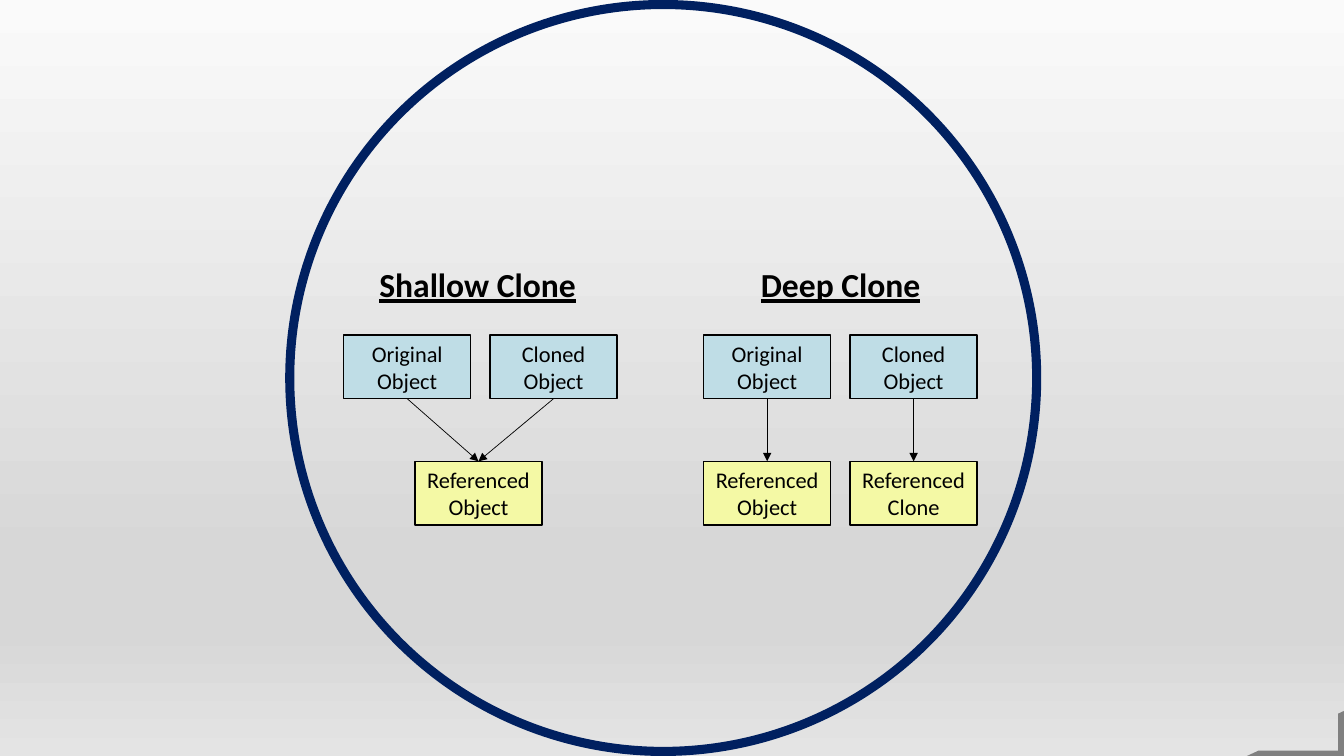
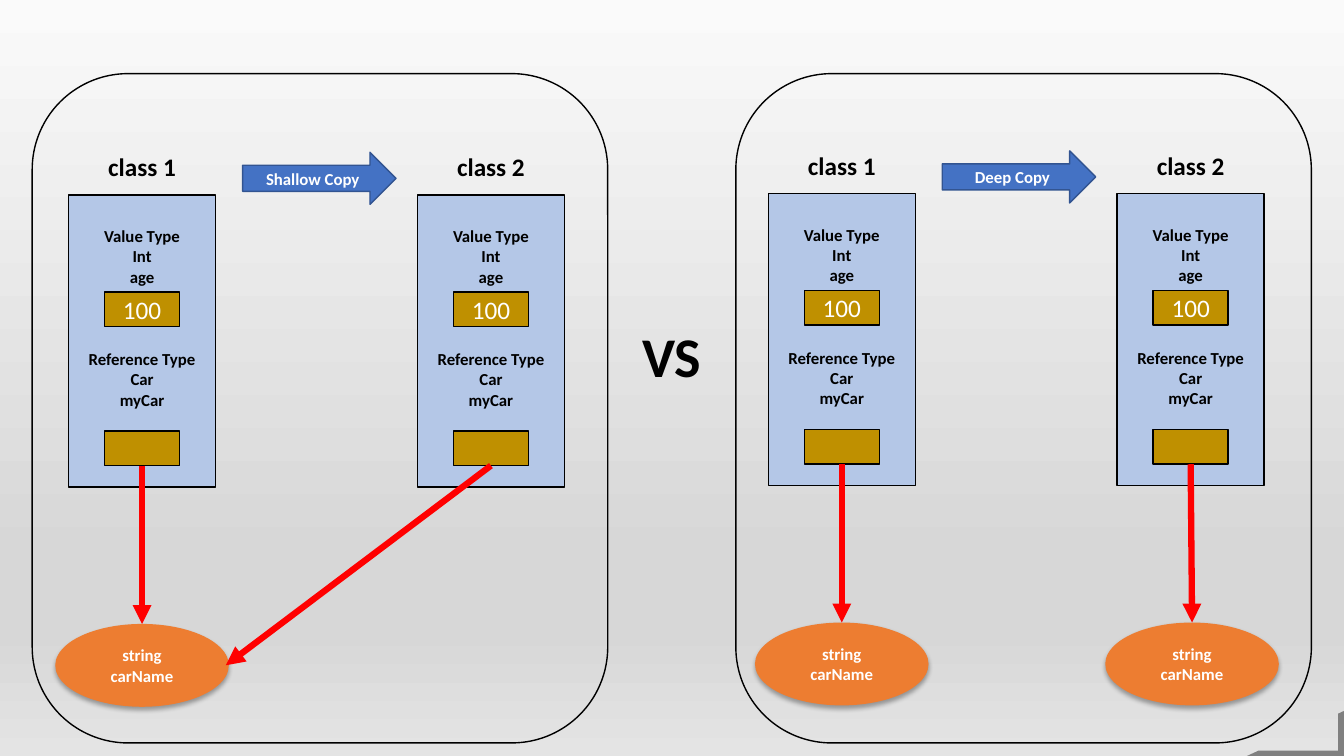
import pptx
import pptx.util
import pptx.dml.color
import pptx.enum.shapes
import pptx.enum.text
import pptx.oxml
import pptx.oxml.ns

Pt = pptx.util.Pt
MSO = pptx.enum.shapes.MSO_SHAPE
rgb = pptx.dml.color.RGBColor.from_string
qn = pptx.oxml.ns.qn
NS = pptx.oxml.ns.nsdecls("a")

FONT = "Calibri"
BLACK, WHITE, RED = "000000", "FFFFFF", "FF0000"
NAVY, GREY = "002060", "808080"
LIGHT_BLUE, YELLOW = "BFDDE6", "F4F9A5"
CLASS_BLUE, GOLD, ORANGE = "B4C7E7", "BF9000", "ED7D31"
ARROW_BLUE, ARROW_EDGE = "4472C4", "325491"


def add_box(s, kind, x, y, w, h, text="", fill=None, line=None, size=12, color=BLACK, bold=False, underline=False):
    if kind is None:
        sp = s.shapes.add_textbox(Pt(x), Pt(y), Pt(w), Pt(h))
    else:
        sp = s.shapes.add_shape(kind, Pt(x), Pt(y), Pt(w), Pt(h))
        sp.shadow.inherit = False
    if fill:
        sp.fill.solid()
        sp.fill.fore_color.rgb = rgb(fill)
    else:
        sp.fill.background()
    if line:
        sp.line.color.rgb = rgb(line)
        sp.line.width = Pt(1)
    else:
        sp.line.fill.background()
    if text:
        tf = sp.text_frame
        tf.text = text
        tf.word_wrap = True
        tf.margin_left = tf.margin_right = tf.margin_top = tf.margin_bottom = 0
        tf.vertical_anchor = pptx.enum.text.MSO_ANCHOR.MIDDLE
        for p in tf.paragraphs:
            p.alignment = pptx.enum.text.PP_ALIGN.CENTER
            for r in p.runs:
                r.font.name = FONT
                r.font.size = Pt(size)
                r.font.bold = bold
                r.font.underline = underline
                r.font.color.rgb = rgb(color)
    return sp


def add_arrow(s, x1, y1, x2, y2, color, width):
    c = s.shapes.add_connector(pptx.enum.shapes.MSO_CONNECTOR.STRAIGHT, Pt(x1), Pt(y1), Pt(x2), Pt(y2))
    c.line.color.rgb = rgb(color)
    c.line.width = Pt(width)
    pr = c.element.spPr
    pr.find(qn("a:ln")).append(pptx.oxml.parse_xml(f'<a:tailEnd {NS} type="triangle"/>'))
    pr.append(pptx.oxml.parse_xml(f"<a:effectLst {NS}/>"))


prs = pptx.Presentation()
prs.slide_width, prs.slide_height = Pt(960), Pt(540)
layout = prs.slide_layouts[6]

bg = layout.background.fill
bg.gradient()
bg.gradient_angle = 270
stops = layout.element.find(".//" + qn("a:gsLst"))
for gs in list(stops):
    stops.remove(gs)
for pos, color in [(0, "FAFAFA"), (74, "D7D7D7"), (83, "D7D7D7"), (100, "E4E4E4")]:
    stops.append(pptx.oxml.parse_xml(f'<a:gs {NS} pos="{pos * 1000}"><a:srgbClr val="{color}"/></a:gs>'))

s = prs.slides.add_slide(layout)

corner = add_box(s, MSO.HALF_FRAME, 909.4, 488.9, 32.4, 69.8, fill=GREY)
corner.adjustments[0], corner.adjustments[1] = 0.143, 0.119
corner.rotation = 270
corner.element.spPr.find(qn("a:xfrm")).set("flipV", "1")
layout.shapes.element.append(corner.element)

ring = add_box(s, MSO.DONUT, 203.75, 0, 540, 540, fill=NAVY)
ring.adjustments[0] = 0.012

for x, w, title in [(262, 158.4, "Shallow Clone"), (535.7, 129.6, "Deep Clone")]:
    add_box(s, None, x, 185, w, 36, title, size=24, bold=True, underline=True)

BOX_W, BOX_H, TOP_Y, REF_Y = 90.7, 45.5, 239.3, 329.5
for x, y, text, fill in [
    (290.9, TOP_Y, "Original\nObject", LIGHT_BLUE),
    (395.4, TOP_Y, "Cloned\nObject", LIGHT_BLUE),
    (341.8, REF_Y, "Referenced\nObject", YELLOW),
    (548, TOP_Y, "Original\nObject", LIGHT_BLUE),
    (652.6, TOP_Y, "Cloned\nObject", LIGHT_BLUE),
    (548, REF_Y, "Referenced\nObject", YELLOW),
    (652.6, REF_Y, "Referenced\nClone", YELLOW),
]:
    add_box(s, MSO.RECTANGLE, x - BOX_W / 2, y, BOX_W, BOX_H, text, fill, BLACK, 16)
for x1, x2 in [(290.9, 341.8), (395.4, 341.8), (548, 548), (652.6, 652.6)]:
    add_arrow(s, x1, TOP_Y + BOX_H, x2, REF_Y, BLACK, 0.5)

s = prs.slides.add_slide(layout)
add_box(s, None, 451.4, 226, 56.9, 55.4, "VS", size=40, bold=True)

CLASS_GAP = 249.2
for dx, dy, copy_name, shared in [(0, 0, "Shallow Copy", True), (499.8, -1, "Deep Copy", False)]:
    for i in range(2):
        mid = 101.5 + dx + i * CLASS_GAP
        add_box(s, MSO.RECTANGLE, mid - 52.5, 139.2 + dy, 105, 208.8, fill=CLASS_BLUE, line=BLACK)
        for y, text in [(157.5, "Value Type\nInt\nage"), (245.3, "Reference Type\nCar\nmyCar")]:
            add_box(s, None, mid - 60, y + dy, 120, 51, text, bold=True)
        for y, value in [(208.6, "100"), (308, "")]:
            add_box(s, MSO.RECTANGLE, mid - 26.8, y + dy, 53.6, 24.6, value, GOLD, BLACK, 18, WHITE)
        add_box(s, None, mid - 40, 104.4 + dy, 80, 29, f"class {i + 1}", size=18, bold=True)
        if shared and i == 1:
            tip_x, tip_y = 161.3, 475.2
        else:
            tip_x, tip_y = mid + i, 445.7 + dy
            oval = add_box(s, MSO.OVAL, tip_x - 62, tip_y, 124, 59.2, "string\ncarName", ORANGE, size=12, color=WHITE, bold=True)
            oval.element.spPr.find(qn("a:effectLst")).append(pptx.oxml.parse_xml(
                f'<a:outerShdw {NS} blurRad="{Pt(3.5)}" dist="{Pt(2.2)}" dir="5400000" rotWithShape="0">'
                f'<a:srgbClr val="{BLACK}"><a:alpha val="32000"/></a:srgbClr></a:outerShdw>'))
        add_arrow(s, mid, 332.6 + dy, tip_x, tip_y, RED, 4.5)
    add_box(s, MSO.RIGHT_ARROW, 173.3 + dx, 108.8 + dy, 109.6, 37.2, copy_name, ARROW_BLUE, ARROW_EDGE, 12, WHITE, True)

for x in (23, 525.6):
    add_box(s, MSO.ROUNDED_RECTANGLE, x, 52.6, 411.1, 478.1, line=BLACK)

prs.save("out.pptx")
